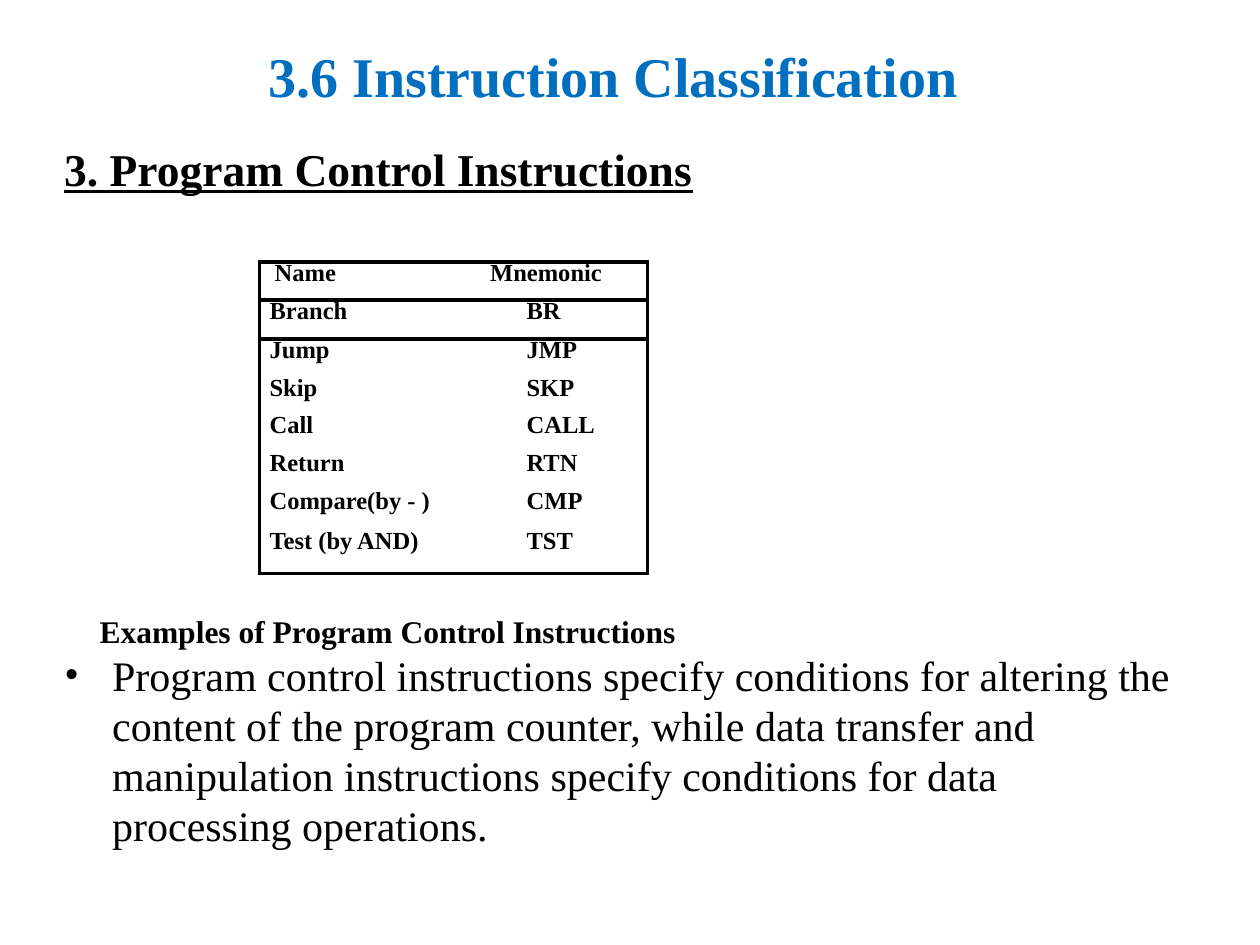
from lxml.etree import SubElement
from pptx import Presentation
from pptx.dml.color import RGBColor
from pptx.oxml.ns import qn
from pptx.util import Inches, Pt

COLORS = {"title": "006FC0", "text": "000000"}
FONT = "Times New Roman"

TITLE = "3.6 Instruction Classification"
HEADING = "3. Program Control Instructions"
CAPTION = "Examples of Program Control Instructions"
BODY = ("Program control instructions specify conditions for altering the "
        "content of the program counter, while data transfer and manipulation "
        "instructions specify conditions for data processing operations.")
ROWS = [
    ("Name", "Mnemonic"),
    ("Branch", "BR"),
    ("Jump", "JMP"),
    ("Skip", "SKP"),
    ("Call", "CALL"),
    ("Return", "RTN"),
    ("Compare(by - )", "CMP"),
    ("Test (by AND)", "TST"),
]
COL_WIDTHS = (1.59, 1.49)
ROW_HEIGHTS = (0.3, 0.31, 0.3, 0.3, 0.3, 0.3, 0.3, 0.36)
RULED_ROWS = (0, 1, len(ROWS) - 1)  # rows with a line below
HEADER_INDENTS, CELL_INDENTS = (0.12, 0.24), (0.08, 0.53)


def add_run(p, text, size, color="text", bold=True, underline=None):
    """Add one formatted run to a paragraph."""
    r = p.add_run()
    r.text = text
    r.font.name, r.font.size = FONT, Pt(size)
    r.font.bold, r.font.underline = bold, underline
    r.font.color.rgb = RGBColor.from_string(COLORS[color])


def set_indent(p, left, first=0):
    """Set the left margin and first-line indent of a paragraph."""
    pPr = p._p.get_or_add_pPr()
    pPr.set("marL", str(Inches(left)))
    pPr.set("indent", str(Inches(first)))
    return pPr


def add_text(s, left, top, width, height):
    """Add a wrapping text box without side margins."""
    tf = s.shapes.add_textbox(*map(Inches, (left, top, width, height))).text_frame
    tf.word_wrap = True
    tf.margin_left = tf.margin_right = tf.margin_bottom = 0
    tf.margin_top = Inches(0.01)
    tf.paragraphs[0].space_before = Pt(1)
    return tf


def set_borders(cell, visible):
    """Draw the named sides of a cell and hide the others."""
    tcPr = cell._tc.get_or_add_tcPr()
    for side in "LRTB":
        ln = SubElement(tcPr, qn(f"a:ln{side}"), w=str(Pt(2.25)))
        if side in visible:
            fill = SubElement(ln, qn("a:solidFill"))
            SubElement(fill, qn("a:srgbClr"), val=COLORS["text"])
        else:
            SubElement(ln, qn("a:noFill"))
    cell.fill.background()


def add_instruction_table(s):
    """Add the table of instruction names and mnemonics."""
    table = s.shapes.add_table(
        len(ROWS), len(COL_WIDTHS), Inches(2.06), Inches(2.08),
        Inches(sum(COL_WIDTHS)), Inches(sum(ROW_HEIGHTS))).table
    table.first_row = table.horz_banding = False
    for col, width in zip(table.columns, COL_WIDTHS):
        col.width = Inches(width)
    for i, texts in enumerate(ROWS):
        table.rows[i].height = Inches(ROW_HEIGHTS[i])
        indents = CELL_INDENTS if i else HEADER_INDENTS
        for j, text in enumerate(texts):
            cell = table.cell(i, j)
            cell.margin_left = cell.margin_right = 0
            cell.margin_top = cell.margin_bottom = 0
            p = cell.text_frame.paragraphs[0]
            set_indent(p, indents[j])
            p.line_spacing = Pt(15.1 if i == len(ROWS) - 1 else 14.1)
            add_run(p, text, 14)
            sides = "LR"[j]
            if i in RULED_ROWS:
                sides += "B"
            if i == 0 or i - 1 in RULED_ROWS:
                sides += "T"
            set_borders(cell, sides)


prs = Presentation()
prs.slide_width, prs.slide_height = Inches(10), Inches(7.5)
s = prs.slides.add_slide(prs.slide_layouts[6])

tf = add_text(s, 0.5, 4.85, 8.85, 1.92)
p = tf.paragraphs[0]
set_indent(p, 0.29)
p.line_spacing = Pt(21.2)
add_run(p, CAPTION, 18)
p = tf.add_paragraph()
pPr = set_indent(p, 0.39, -0.38)
p.line_spacing = Pt(28.6)
SubElement(pPr, qn("a:buFont"), typeface=FONT)
SubElement(pPr, qn("a:buChar"), char="•")
add_run(p, BODY, 24, bold=False)

add_instruction_table(s)

p = add_text(s, 0.5, 1.11, 5.1, 0.46).paragraphs[0]
set_indent(p, 0.01)
add_run(p, HEADING, 26, underline=True)

p = add_text(s, 2.12, 0.32, 5.6, 0.56).paragraphs[0]
set_indent(p, 0.01)
add_run(p, TITLE, 32, "title")

prs.save("out.pptx")
